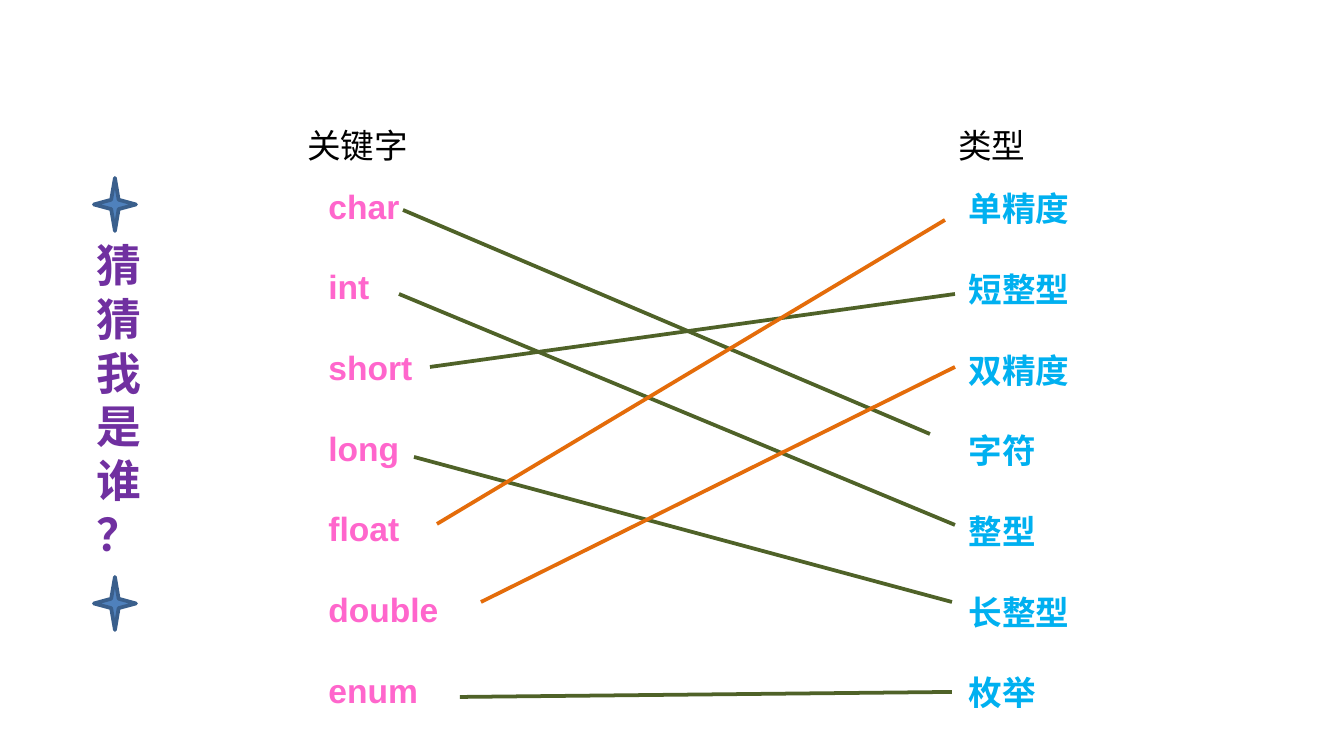
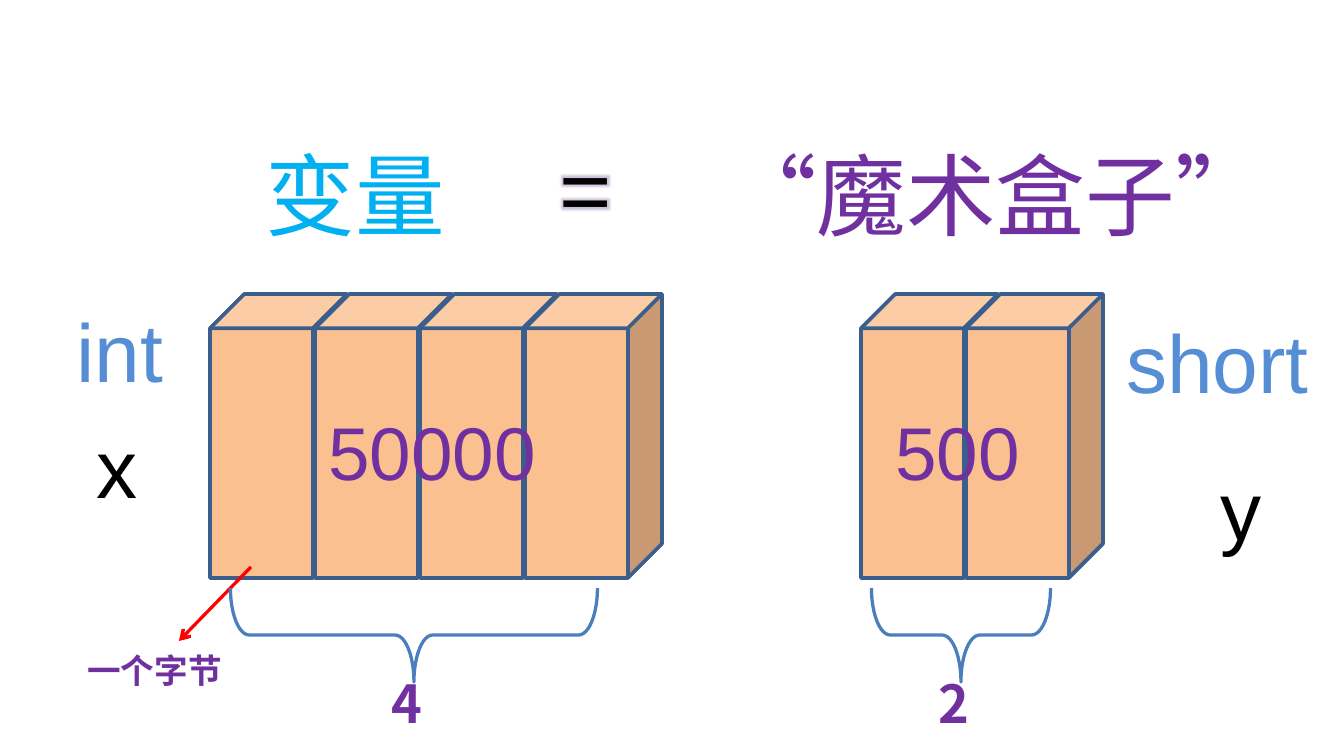
from lxml import etree
from pptx import Presentation
from pptx import util as u
from pptx.dml.color import RGBColor
from pptx.enum import shapes, text
from pptx.oxml import ns

SCALE = 914400 / 134.4
ARIAL, NOTO = "Arial", "Noto Sans CJK SC"
COLORS = {
    "black": "000000", "purple": "7030A0", "pink": "FF66CC", "cyan": "00B0F0",
    "blue": "558ED5", "star": "4F81BD", "edge": "3A5F8C", "brace": "4B7EBC",
    "olive": "4F6228", "orange": "E46C0A", "red": "FF0000", "box": "FAC090",
    "glow": "8064A2",
}
RGB = {name: RGBColor.from_string(value) for name, value in COLORS.items()}


def write(slide, words, box, size, color, font=ARIAL, bold=False, line=None, gap=0,
          holder=None, wrap=True):
    left, top, width, height = [round(n * SCALE) for n in box]
    area = holder or slide.shapes.add_textbox(left, top, width, height)
    area.left, area.top, area.width, area.height = left, top, width, height
    frame = area.text_frame
    frame.word_wrap = wrap
    frame.auto_size = text.MSO_AUTO_SIZE.SHAPE_TO_FIT_TEXT
    frame.vertical_anchor = text.MSO_ANCHOR.TOP
    frame.text = words
    leading = line or size * (1.28 if font == NOTO else 1.2)
    for index, paragraph in enumerate(frame.paragraphs):
        paragraph.alignment = text.PP_ALIGN.LEFT
        paragraph.line_spacing = u.Pt(leading)
        paragraph.space_before = u.Pt(gap if index else 0)
        paragraph.space_after = u.Pt(0)
        props = paragraph._p.get_or_add_pPr()
        props.set("marL", "0")
        props.set("indent", "0")
        etree.SubElement(props, ns.qn("a:buNone"))
        for run in paragraph.runs:
            run.font.size = u.Pt(size)
            run.font.bold = bold
            run.font.name = font
            run.font.color.rgb = RGB[color]
            etree.SubElement(run._r.get_or_add_rPr(), ns.qn("a:ea"), typeface=NOTO)
    return area


def draw(slide, kind, box, color, width, fill=None):
    a, b, c, d = [round(n * SCALE) for n in box]
    if kind == "line":
        part = slide.shapes.add_connector(shapes.MSO_CONNECTOR.STRAIGHT, a, b, c, d)
        etree.SubElement(part._element.spPr, ns.qn("a:effectLst"))
    else:
        part = slide.shapes.add_shape(kind, a, b, c, d)
        part.shadow.inherit = False
        if fill:
            part.fill.solid()
            part.fill.fore_color.rgb = RGB[fill]
        else:
            part.fill.background()
    part.line.color.rgb = RGB[color]
    part.line.width = u.Pt(width)
    return part


deck = Presentation()
deck.slide_width, deck.slide_height = round(1344 * SCALE), round(756 * SCALE)

matching = deck.slides.add_slide(deck.slide_layouts[3])
question, keywords, kinds = matching.placeholders
write(matching, "猜猜我是谁？", (83, 231, 63, 339), 24, "purple", bold=True, holder=question)
for star_top in (178, 577):
    draw(matching, shapes.MSO_SHAPE.STAR_4_POINT, (94, star_top, 42, 53), "edge", 2, "star")

write(matching, "char\nint\nshort\nlong\nfloat\ndouble\nenum", (315, 179, 168, 543), 18, "pink",
      bold=True, gap=21.6, holder=keywords)
write(matching, "单精度\n短整型\n双精度\n字符\n整型\n长整型\n枚举", (955, 179, 168, 543), 18, "cyan",
      bold=True, line=23, gap=20.2, holder=kinds)
for heading, left in (("关键字", 294), ("类型", 945)):
    write(matching, heading, (left, 116, 157, 54), 18, "black", NOTO)

answers = [
    ("olive", (403, 210, 930, 434)),
    ("olive", (399, 294, 955, 525)),
    ("olive", (430, 367, 955, 294)),
    ("olive", (414, 457, 952, 602)),
    ("orange", (437, 524, 945, 220)),
    ("orange", (481, 602, 955, 367)),
    ("olive", (460, 697, 952, 692)),
]
for color, ends in answers:
    draw(matching, "line", ends, color, 2)

variables = deck.slides.add_slide(deck.slide_layouts[5])
write(variables, "变量", (252, 126, 242, 122), 48, "cyan", NOTO, holder=variables.shapes.title)
equals = write(variables, "=", (546, 126, 126, 122), 48, "black")
write(variables, "“魔术盒子”", (714, 126, 578, 122), 48, "purple", NOTO)

effects = etree.Element(ns.qn("a:effectLst"))
glow = etree.SubElement(effects, ns.qn("a:glow"), rad="63500")
tint = etree.SubElement(glow, ns.qn("a:srgbClr"), val=COLORS["glow"])
etree.SubElement(tint, ns.qn("a:alpha"), val="40000")
equals.text_frame.paragraphs[0].runs[0]._r.rPr.find(ns.qn("a:solidFill")).addnext(effects)

for first, count in ((210, 4), (861, 2)):
    for byte in range(count):
        draw(variables, shapes.MSO_SHAPE.CUBE, (first + 105 * byte, 294, 137, 284),
             "edge", 2, "box")

labels = [
    ("int", (63, 294, 126, 113), 44, "blue"),
    ("x", (83, 410, 74, 113), 44, "black"),
    ("short", (1113, 305, 210, 113), 44, "blue"),
    ("50000", (315, 399, 315, 103), 40, "purple"),
    ("500", (882, 399, 179, 103), 40, "purple"),
]
for label, box, size, color in labels:
    write(variables, label, box, size, color)
write(variables, "y", (1207, 452, 65, 113), 44, "black", wrap=False)

pointer = draw(variables, "line", (251, 567, 179, 641), "red", 1.75)
etree.SubElement(pointer.line._get_or_add_ln(), ns.qn("a:tailEnd"), type="arrow")
write(variables, "一个字节", (74, 641, 210, 54), 18, "purple", NOTO, bold=True)

for total, center, span, left in (("4", 414, 367, 378), ("2", 961, 179, 925)):
    brace = draw(variables, shapes.MSO_SHAPE.LEFT_BRACE,
                 (center - 47, 635 - span / 2, 94, span), "brace", 1.75)
    brace.rotation = 270
    brace.adjustments[0] = 0.2
    write(variables, total, (left, 661, 74, 77), 28, "purple", NOTO, bold=True)

deck.save("out.pptx")
